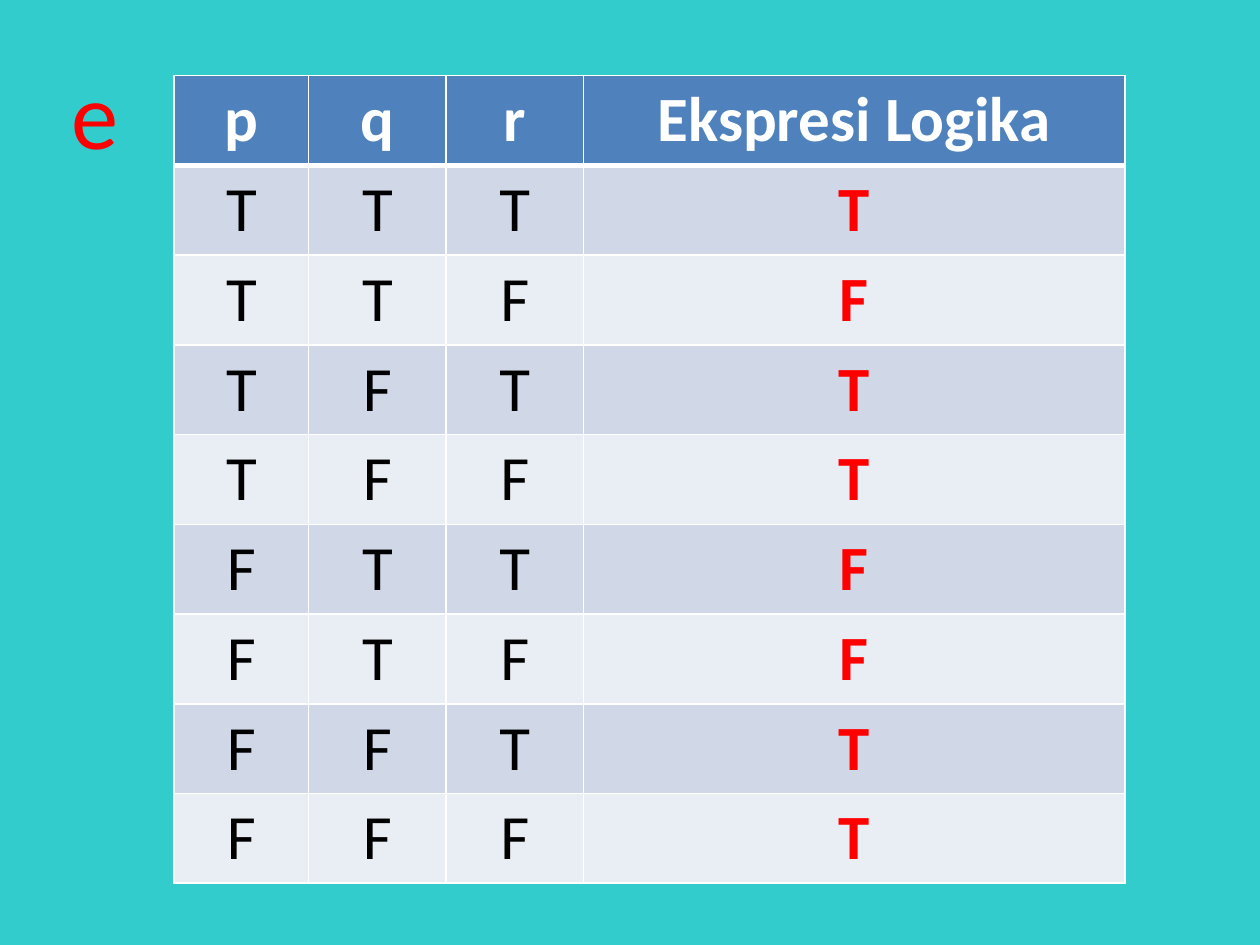
from itertools import product

from lxml.etree import SubElement
from pptx import Presentation
from pptx.dml.color import RGBColor
from pptx.enum.text import MSO_ANCHOR, PP_ALIGN
from pptx.oxml.ns import qn
from pptx.util import Pt

COLORS = {
    "background": "33CCCC", "header": "4F81BD", "odd": "D0D8E8",
    "even": "E9EDF4", "grid": "FFFFFF", "value": "000000", "result": "FF0000",
}
HEADINGS = ["p", "q", "r", "Ekspresi Logika"]
RESULTS = "TFTTFFTT"
COLUMN_WIDTHS = [77, 78.5, 78.5, 309.5]
ROW_HEIGHT = 51.2


class TruthSlide:
    """Holds the text style and the current slide."""

    font_name = "Calibri"

    def __init__(self, deck):
        """Add a blank slide with the background colour."""
        self.slide = deck.slides.add_slide(deck.slide_layouts[6])
        self.paint(self.slide.background.fill, "background")

    def paint(self, target, color):
        """Give a fill one named colour."""
        target.solid()
        target.fore_color.rgb = RGBColor.from_string(COLORS[color])

    def add_text(self, frame, text, color, **formats):
        """Put one styled run into a text frame."""
        run = frame.paragraphs[0].add_run()
        run.text = text
        for key, value in {"name": self.font_name, **formats}.items():
            setattr(run.font, key, value)
        run.font.color.rgb = RGBColor.from_string(COLORS[color])

    def label(self, text, left, top, width, height, color, size):
        """Add an unwrapped text box."""
        box = self.slide.shapes.add_textbox(Pt(left), Pt(top), Pt(width), Pt(height))
        box.text_frame.word_wrap = False
        self.add_text(box.text_frame, text, color, size=Pt(size))

    def borders(self, cell, widths):
        """Draw the cell's grid lines, given widths by side."""
        properties = cell._tc.get_or_add_tcPr()
        for side, width in widths.items():
            line = SubElement(properties, qn(f"a:ln{side}"), w=str(Pt(width)))
            color = SubElement(SubElement(line, qn("a:solidFill")), qn("a:srgbClr"))
            color.set("val", COLORS["grid"])

    def cell(self, cell, text, row, is_result):
        """Style one cell by its row and by whether it is a result."""
        is_header = row == 0
        band = "header" if is_header else "odd" if row % 2 else "even"
        color = "grid" if is_header else "result" if is_result else "value"
        self.borders(cell, {"L": 1, "R": 1, "T": 3 if row == 1 else 1,
                            "B": 3 if is_header else 1})
        self.paint(cell.fill, band)
        cell.vertical_anchor = MSO_ANCHOR.TOP
        self.add_text(cell.text_frame, text, color, size=Pt(36),
                      bold=is_header or is_result)
        cell.text_frame.paragraphs[0].alignment = PP_ALIGN.CENTER

    def table(self, rows, left, top):
        """Add the truth table."""
        table = self.slide.shapes.add_table(
            len(rows), len(COLUMN_WIDTHS), Pt(left), Pt(top),
            Pt(sum(COLUMN_WIDTHS)), Pt(ROW_HEIGHT * len(rows))).table
        for column, width in zip(table.columns, COLUMN_WIDTHS):
            column.width = Pt(width)
        for i, values in enumerate(rows):
            table.rows[i].height = Pt(ROW_HEIGHT)
            for j, value in enumerate(values):
                self.cell(table.cell(i, j), value, i, j == len(values) - 1)


def main():
    """Build the slide and save it."""
    deck = Presentation()
    deck.slide_width, deck.slide_height = Pt(720), Pt(540)
    truth = TruthSlide(deck)
    cases = [[*inputs, result]
             for inputs, result in zip(product("TF", repeat=3), RESULTS)]
    truth.table([HEADINGS, *cases], 99.4, 43.2)
    truth.label("e", 33.8, 28, 41.8, 72.7, "result", 54)
    deck.save("out.pptx")


main()
